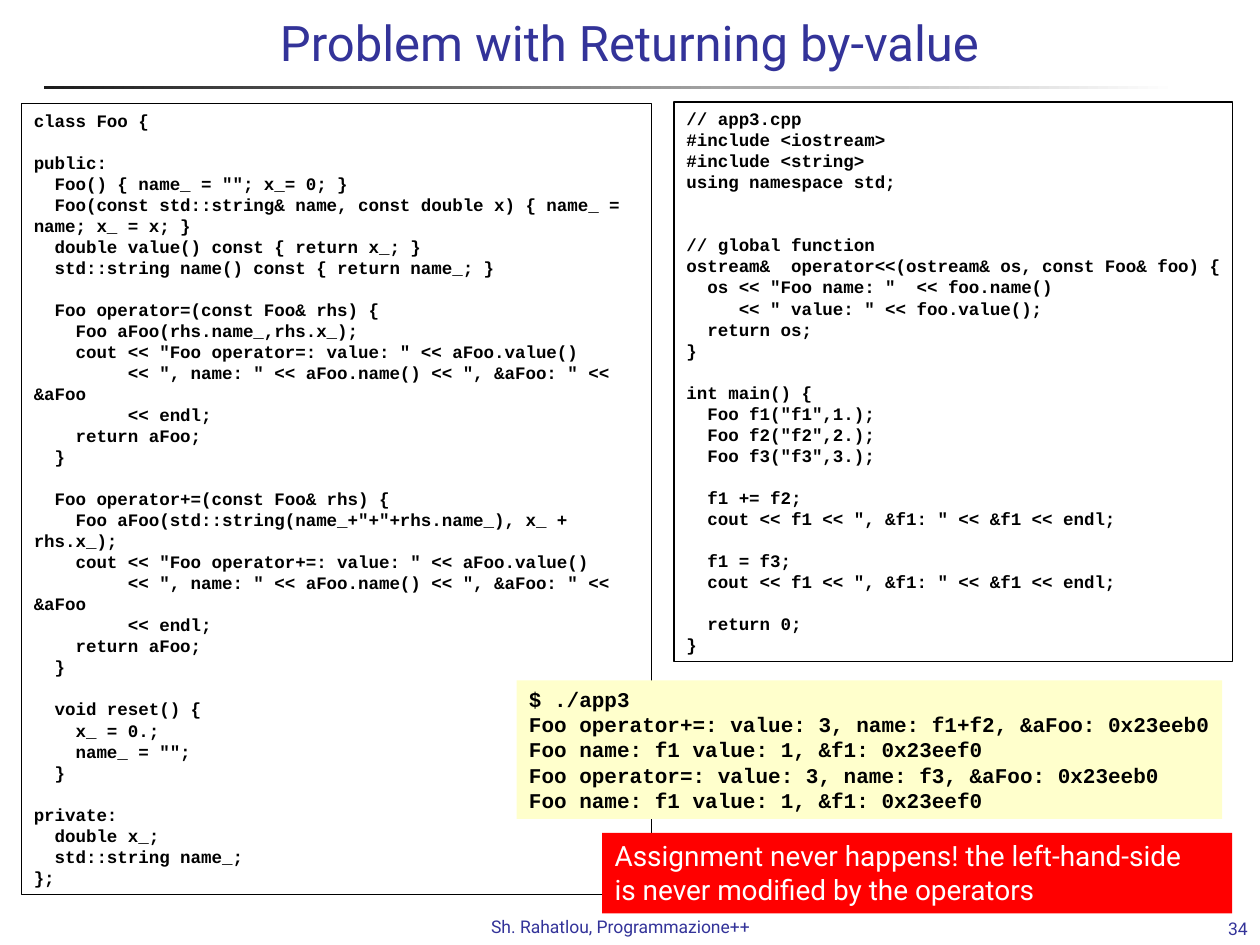
from dataclasses import dataclass
from typing import Optional

from pptx import Presentation
from pptx import util as u
from pptx.dml.color import RGBColor
from pptx.enum import shapes, text

BLACK = RGBColor(0x00, 0x00, 0x00)
WHITE = RGBColor(0xFF, 0xFF, 0xFF)
CHARCOAL = RGBColor(0x1C, 0x1C, 0x1C)
NAVY = RGBColor(0x33, 0x33, 0x99)
CREAM = RGBColor(0xFF, 0xFF, 0xCC)
RED = RGBColor(0xFF, 0x00, 0x00)

CODE_FONT = "Courier New"
TEXT_FONT = "Roboto"

CLASS_CODE = """\
class Foo {

public:
  Foo() { name_ = ""; x_= 0; }
  Foo(const std::string& name, const double x) { name_ = name; x_ = x; }
  double value() const { return x_; }
  std::string name() const { return name_; }

  Foo operator=(const Foo& rhs) {
    Foo aFoo(rhs.name_,rhs.x_);
    cout << "Foo operator=: value: " << aFoo.value()
         << ", name: " << aFoo.name() << ", &aFoo: " << &aFoo
         << endl;
    return aFoo;
  }

  Foo operator+=(const Foo& rhs) {
    Foo aFoo(std::string(name_+"+"+rhs.name_), x_ + rhs.x_);
    cout << "Foo operator+=: value: " << aFoo.value()
         << ", name: " << aFoo.name() << ", &aFoo: " << &aFoo
         << endl;
    return aFoo;
  }

  void reset() {
    x_ = 0.;
    name_ = "";
  }

private:
  double x_;
  std::string name_;
};"""

MAIN_CODE = """\
// app3.cpp
#include <iostream>
#include <string>
using namespace std;


// global function
ostream&  operator<<(ostream& os, const Foo& foo) {
  os << "Foo name: "  << foo.name()
     << " value: " << foo.value();
  return os;
}

int main() {
  Foo f1("f1",1.);
  Foo f2("f2",2.);
  Foo f3("f3",3.);

  f1 += f2;
  cout << f1 << ", &f1: " << &f1 << endl;

  f1 = f3;
  cout << f1 << ", &f1: " << &f1 << endl;

  return 0;
}"""

PROGRAM_OUTPUT = """\
$ ./app3
Foo operator+=: value: 3, name: f1+f2, &aFoo: 0x23eeb0
Foo name: f1 value: 1, &f1: 0x23eef0
Foo operator=: value: 3, name: f3, &aFoo: 0x23eeb0
Foo name: f1 value: 1, &f1: 0x23eef0"""

# A vertical tab is a line break within one paragraph
CONCLUSION = ("Assignment never happens! the left-hand-side\v"
              "is never modified by the operators")


@dataclass
class Label:
    """Plain text without a frame."""
    words: str
    left: float
    top: float
    width: float
    height: float
    size: int
    align: text.PP_ALIGN = text.PP_ALIGN.LEFT
    anchor: text.MSO_ANCHOR = text.MSO_ANCHOR.TOP
    wrap: bool = True
    inset_top: float = 0.05


@dataclass
class Panel:
    """Text in a rectangle, with optional fill and outline."""
    words: str
    left: float
    top: float
    width: float
    height: float
    size: int = 10
    font: str = CODE_FONT
    color: RGBColor = BLACK
    bold: bool = True
    fill: Optional[RGBColor] = None
    outlined: bool = False
    wrap: bool = False


LABELS = [
    Label("Sh. Rahatlou, Programmazione++", 3.8, 7.22, 2.37, 0.27, 10, wrap=False),
    Label("34", 8.92, 7.25, 1.08, 0.25, 10, text.PP_ALIGN.RIGHT,
          text.MSO_ANCHOR.BOTTOM),
    Label("Problem with Returning by-value", 0.58, 0.02, 8.83, 0.67, 28,
          text.PP_ALIGN.CENTER, inset_top=0.08),
]

PANELS = [
    Panel(CLASS_CODE, 0.17, 0.82, 5, 6.28, outlined=True, wrap=True),
    Panel(MAIN_CODE, 5.35, 0.81, 4.43, 4.44, fill=WHITE, outlined=True),
    Panel(PROGRAM_OUTPUT, 4.1, 5.4, 5.6, 1.1, size=12, fill=CREAM),
    Panel(CONCLUSION, 4.78, 6.61, 5, 0.64, size=16, font=TEXT_FONT,
          color=WHITE, bold=False, fill=RED),
]


def write(frame, words: str, font: str, size: int, color: RGBColor,
          bold: bool = False, align: text.PP_ALIGN = text.PP_ALIGN.LEFT) -> None:
    frame.text = words
    for para in frame.paragraphs:
        para.alignment = align
        para.font.name = font
        para.font.size = u.Pt(size)
        para.font.bold = bold
        para.font.color.rgb = color


def bounds(item) -> list:
    return [u.Inches(n) for n in (item.left, item.top, item.width, item.height)]


def draw_rule(page) -> None:
    rule = page.shapes.add_shape(shapes.MSO_SHAPE.RECTANGLE, u.Inches(0.35),
                                 u.Inches(0.68), u.Inches(9), u.Inches(0.03))
    rule.shadow.inherit = False
    rule.line.fill.background()
    rule.fill.gradient()
    rule.fill.gradient_angle = 0
    for stop, color in zip(rule.fill.gradient_stops, (CHARCOAL, WHITE)):
        stop.color.rgb = color


def draw_label(page, label: Label) -> None:
    frame = page.shapes.add_textbox(*bounds(label)).text_frame
    frame.word_wrap = label.wrap
    frame.vertical_anchor = label.anchor
    frame.margin_top = u.Inches(label.inset_top)
    write(frame, label.words, TEXT_FONT, label.size, NAVY, align=label.align)


def draw_panel(page, panel: Panel) -> None:
    box = page.shapes.add_shape(shapes.MSO_SHAPE.RECTANGLE, *bounds(panel))
    box.shadow.inherit = False
    if panel.fill is None:
        box.fill.background()
    else:
        box.fill.solid()
        box.fill.fore_color.rgb = panel.fill
    if panel.outlined:
        box.line.color.rgb = BLACK
        box.line.width = u.Pt(0.75)
    else:
        box.line.fill.background()
    frame = box.text_frame
    frame.word_wrap = panel.wrap
    frame.vertical_anchor = text.MSO_ANCHOR.TOP
    write(frame, panel.words, panel.font, panel.size, panel.color, panel.bold)


def main() -> None:
    deck = Presentation()
    deck.slide_width, deck.slide_height = u.Inches(10), u.Inches(7.5)
    page = deck.slides.add_slide(deck.slide_layouts[6])

    # Rule under the title, then title, footer and page number
    draw_rule(page)
    for label in LABELS:
        draw_label(page, label)

    # Code listings, program output and conclusion
    for panel in PANELS:
        draw_panel(page, panel)

    deck.save("out.pptx")


if __name__ == "__main__":
    main()
